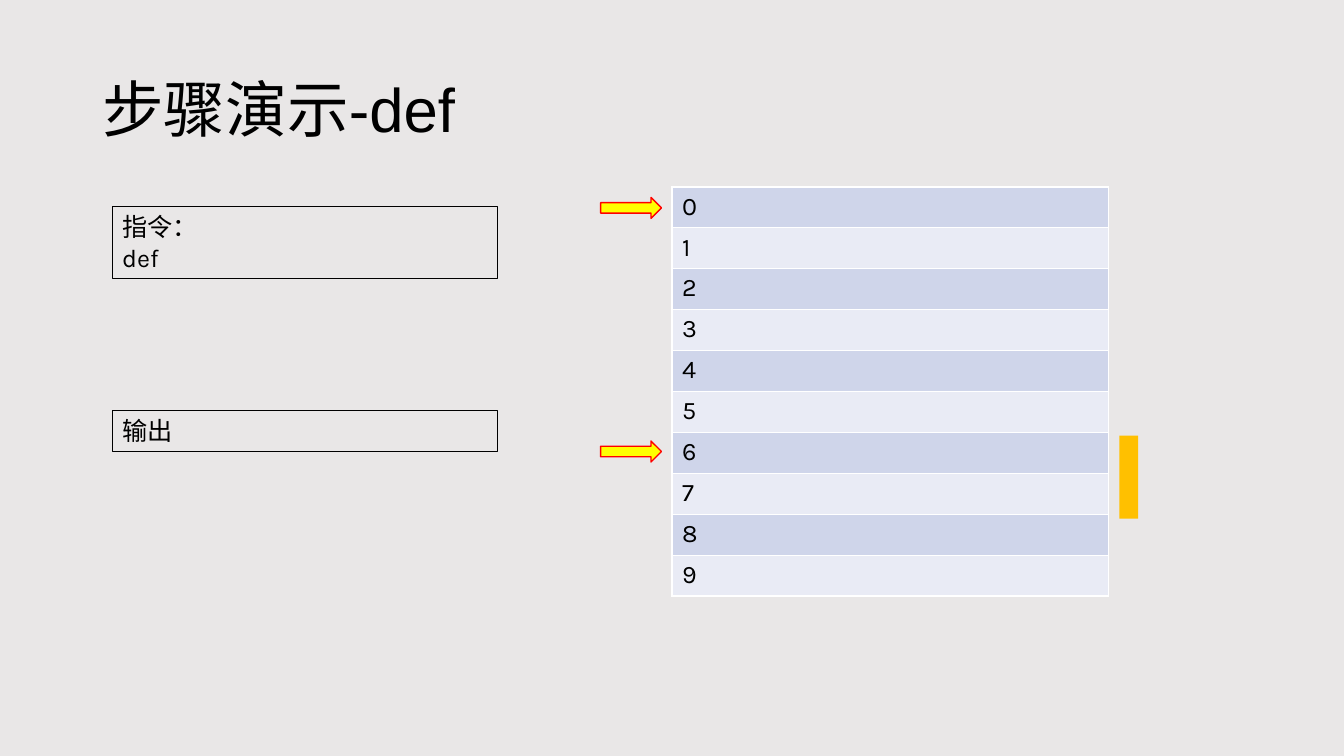
from dataclasses import dataclass

from lxml import etree
from pptx import Presentation
from pptx.dml.color import RGBColor
from pptx.enum.shapes import MSO_SHAPE
from pptx.enum.text import MSO_ANCHOR, PP_ALIGN
from pptx.oxml.ns import qn
from pptx.util import Emu, Pt

RECTANGLE = MSO_SHAPE.RECTANGLE
RIGHT_ARROW = MSO_SHAPE.RIGHT_ARROW
TOP, MIDDLE = MSO_ANCHOR.TOP, MSO_ANCHOR.MIDDLE
LEFT = PP_ALIGN.LEFT

EMU_PER_PX = 9525
BLANK_LAYOUT = 6


@dataclass(frozen=True)
class Theme:
    background: str = "E9E7E7"
    text: str = "000000"
    row_fills: tuple = ("CFD5EA", "E9EBF5")
    border: str = "FFFFFF"
    marker: str = "FFC000"
    arrow_fill: str = "FFFF00"
    arrow_line: str = "FF0000"
    title_font: str = "Arial"
    body_font: str = "Karla"
    title_size: int = 44
    body_size: int = 18


def px(length):
    return Emu(length * EMU_PER_PX)


def color(value):
    return RGBColor.from_string(value)


class SlideBuilder:
    def __init__(self, slide, theme):
        self.slide = slide
        self.theme = theme
        fill = slide.background.fill
        fill.solid()
        fill.fore_color.rgb = color(theme.background)

    def set_text(self, text_frame, text, font_name, size):
        text_frame.text = text
        for paragraph in text_frame.paragraphs:
            paragraph.alignment = LEFT
            paragraph.font.name = font_name
            paragraph.font.size = Pt(size)
            paragraph.font.color.rgb = color(self.theme.text)

    def title(self, text, left, top, width, height):
        box = self.slide.shapes.add_textbox(px(left), px(top), px(width), px(height))
        text_frame = box.text_frame
        text_frame.word_wrap = True
        text_frame.vertical_anchor = MIDDLE
        self.set_text(text_frame, text, self.theme.title_font, self.theme.title_size)
        text_frame.paragraphs[0].line_spacing = 0.9

    def shape(self, kind, left, top, width, height, fill=None, line=None, line_width=1):
        shape = self.slide.shapes.add_shape(kind, px(left), px(top), px(width), px(height))
        shape.shadow.inherit = False
        if fill:
            shape.fill.solid()
            shape.fill.fore_color.rgb = color(fill)
        else:
            shape.fill.background()
        if line:
            shape.line.color.rgb = color(line)
            shape.line.width = Pt(line_width)
        else:
            shape.line.fill.background()
        return shape

    def text_panel(self, text, left, top, width, height):
        panel = self.shape(RECTANGLE, left, top, width, height,
                           line=self.theme.text, line_width=0.75)
        panel.text_frame.word_wrap = True
        panel.text_frame.vertical_anchor = TOP
        self.set_text(panel.text_frame, text, self.theme.body_font, self.theme.body_size)

    def arrow(self, left, top, width, height):
        self.shape(RIGHT_ARROW, left, top, width, height,
                   self.theme.arrow_fill, self.theme.arrow_line)

    def memory_table(self, labels, left, top, width, row_height):
        """Draw a one-column table with alternating row fills."""
        frame = self.slide.shapes.add_table(
            len(labels), 1, px(left), px(top), px(width), px(row_height * len(labels)))
        for index, label in enumerate(labels):
            cell = frame.table.cell(index, 0)
            self.set_text(cell.text_frame, label, self.theme.body_font, self.theme.body_size)
            self.cell_borders(cell)
            cell.fill.solid()
            cell.fill.fore_color.rgb = color(self.theme.row_fills[index % 2])

    def cell_borders(self, cell):
        properties = cell._tc.get_or_add_tcPr()
        for side in ("a:lnL", "a:lnR", "a:lnT", "a:lnB"):
            line = etree.SubElement(properties, qn(side), w=str(Pt(1)))
            fill = etree.SubElement(line, qn("a:solidFill"))
            etree.SubElement(fill, qn("a:srgbClr"), val=self.theme.border)


def main():
    presentation = Presentation()
    presentation.slide_width, presentation.slide_height = px(1280), px(720)
    slide = presentation.slides.add_slide(presentation.slide_layouts[BLANK_LAYOUT])
    theme = Theme()
    builder = SlideBuilder(slide, theme)

    builder.title("步骤演示-def", 88, 38, 1104, 139)
    builder.memory_table([str(address) for address in range(10)], 640, 178, 416, 39)
    builder.shape(RECTANGLE, 1066, 415, 18, 79, fill=theme.marker)
    for text, top, height in (("指令：\ndef", 197, 68), ("输出", 391, 39)):
        builder.text_panel(text, 107, top, 367, height)
    for top in (420, 188):
        builder.arrow(572, top, 58, 20)

    presentation.save("out.pptx")


if __name__ == "__main__":
    main()
